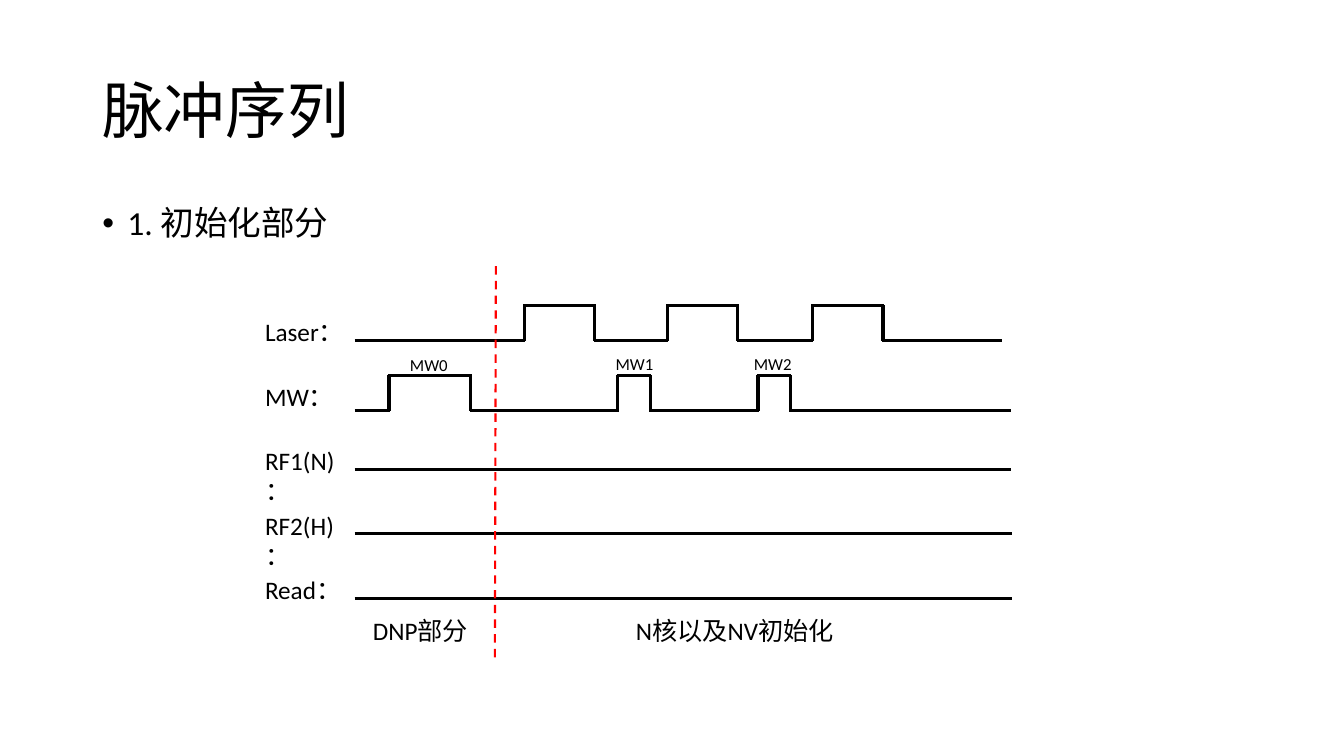
import dataclasses
import typing

import lxml.etree
import pptx
import pptx.dml.color
import pptx.enum.dml
import pptx.enum.shapes
import pptx.enum.text
import pptx.oxml.ns
import pptx.util

Pt = pptx.util.Pt
RGB = pptx.dml.color.RGBColor


@dataclasses.dataclass(frozen=True)
class Theme:
    font: str = "Calibri"
    ink: RGB = RGB(0, 0, 0)
    divider: RGB = RGB(255, 0, 0)
    title: float = 44
    body: float = 24
    label: float = 18
    pulse: float = 12
    signal_width: float = 2.25
    divider_width: float = 1.5


class Label(typing.NamedTuple):
    text: str
    left: float
    top: float
    width: float
    height: float
    size: float


class Channel(typing.NamedTuple):
    name: str
    drop: float
    end: float
    pulses: tuple[tuple[float, float], ...] = ()


THEME = Theme()
ROW_LEFT, ROW_TOP, ROW_PITCH = 182.2, 222.5, 46.1
LABEL_WIDTH, LABEL_HEIGHT = 71.3, 29
SIGNAL_LEFT, PULSE_HEIGHT, OVERLAP = 253.4, 25.3, 0.75

CHANNELS = (
    Channel("Laser：", 21, 715.7, ((374.4, 424.8), (476.6, 527), (580.3, 630.7))),
    Channel("MW：", 24.8, 722.2, ((277.9, 336.2), (441.4, 464.4), (541.4, 564.5))),
    Channel("RF1(N)：", 20.6, 722.2),
    Channel("RF2(H)：", 20.6, 722.9),
    Channel("Read：", 20.6, 722.9),
)

CAPTIONS = (
    Label("DNP部分", 259.2, 435.6, 92.9, LABEL_HEIGHT, THEME.label),
    Label("N核以及NV初始化", 447.1, 436.3, 190.8, LABEL_HEIGHT, THEME.label),
    Label("MW0", 285.8, 249.8, 43.2, 21.6, THEME.pulse),
    Label("MW1", 432.7, 249.1, 45.4, 21.6, THEME.pulse),
    Label("MW2", 531.4, 249.1, 45.4, 21.6, THEME.pulse),
)


def add_label(s, label: Label, grow: bool = True):
    box = s.shapes.add_textbox(
        Pt(label.left), Pt(label.top), Pt(label.width), Pt(label.height)
    )
    tf = box.text_frame
    tf.word_wrap = True
    if grow:
        tf.auto_size = pptx.enum.text.MSO_AUTO_SIZE.SHAPE_TO_FIT_TEXT
    p = tf.paragraphs[0]
    p.text = label.text
    p.font.name = THEME.font
    p.font.size = Pt(label.size)
    p.font.color.rgb = THEME.ink
    return tf


def add_bullet(p, indent: float) -> None:
    pPr = p._p.get_or_add_pPr()
    pPr.set("marL", str(Pt(indent)))
    pPr.set("indent", str(-Pt(indent)))
    font = lxml.etree.Element(pptx.oxml.ns.qn("a:buFont"), typeface="Arial")
    char = lxml.etree.Element(pptx.oxml.ns.qn("a:buChar"), char="•")
    pPr.insert(0, font)
    pPr.insert(1, char)


def add_line(s, x1: float, y1: float, x2: float, y2: float,
             color: RGB = THEME.ink, width: float = THEME.signal_width):
    line = s.shapes.add_connector(
        pptx.enum.shapes.MSO_CONNECTOR.STRAIGHT, Pt(x1), Pt(y1), Pt(x2), Pt(y2)
    )
    line.line.color.rgb = color
    line.line.width = Pt(width)
    lxml.etree.SubElement(
        line._element.spPr, pptx.oxml.ns.qn("a:effectLst")
    )
    return line


def add_channel(s, channel: Channel, top: float) -> None:
    add_label(s, Label(channel.name, ROW_LEFT, top, LABEL_WIDTH, LABEL_HEIGHT, THEME.label))
    base = top + channel.drop
    high = base - PULSE_HEIGHT
    x = SIGNAL_LEFT
    for rise, fall in channel.pulses:
        add_line(s, x, base, rise + OVERLAP, base)
        add_line(s, rise, base, rise, high)
        add_line(s, rise - OVERLAP, high, fall + OVERLAP, high)
        add_line(s, fall, base, fall, high)
        x = fall - OVERLAP
    add_line(s, x, base, channel.end, base)


def main() -> None:
    prs = pptx.Presentation()
    prs.slide_width, prs.slide_height = Pt(960), Pt(540)
    s = prs.slides.add_slide(prs.slide_layouts[6])

    tf = add_label(s, Label("脉冲序列", 66, 28.8, 828, 104.4, THEME.title), grow=False)
    tf.vertical_anchor = pptx.enum.text.MSO_ANCHOR.MIDDLE
    tf.paragraphs[0].line_spacing = 0.9

    tf = add_label(s, Label("1. 初始化部分", 66, 144, 828, 46, THEME.body), grow=False)
    add_bullet(tf.paragraphs[0], 18)
    tf.paragraphs[0].line_spacing = 0.9

    for row, channel in enumerate(CHANNELS):
        add_channel(s, channel, ROW_TOP + row * ROW_PITCH)

    divider = add_line(s, 354.2, 190.1, 353.5, 472.3, THEME.divider, THEME.divider_width)
    divider.line.dash_style = pptx.enum.dml.MSO_LINE.DASH

    for caption in CAPTIONS:
        add_label(s, caption)

    prs.save("out.pptx")


if __name__ == "__main__":
    main()
